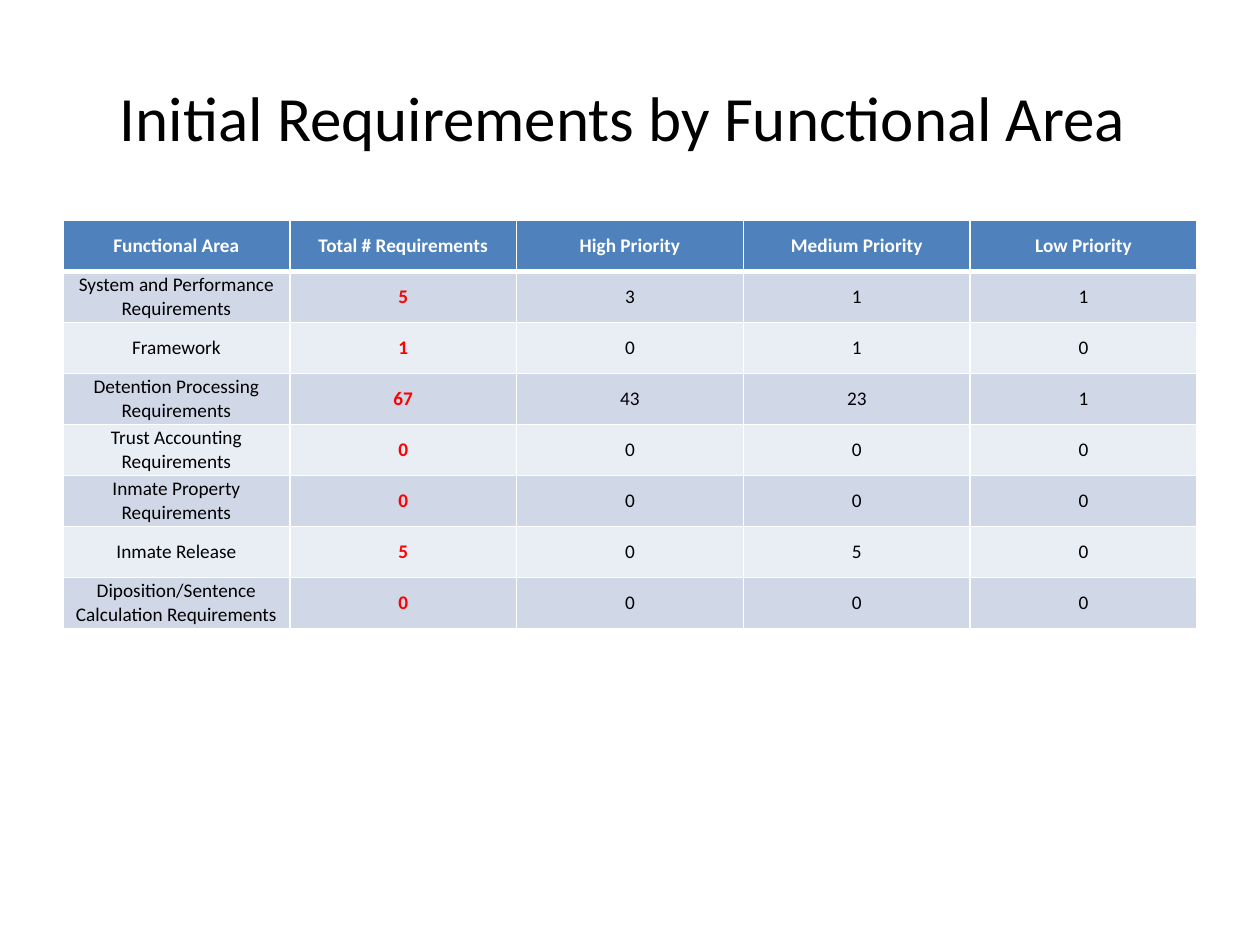
from dataclasses import dataclass

from lxml.etree import SubElement
from pptx import Presentation
from pptx.dml.color import RGBColor as Rgb
from pptx.enum.text import MSO_ANCHOR as Anchor, PP_ALIGN as Align
from pptx.oxml.ns import qn
from pptx.util import Pt


@dataclass(frozen=True)
class Theme:
    font: str = "Calibri"
    title_size: float = 36
    table_size: float = 11
    text: str = "000000"
    total: str = "FF0000"
    header_text: str = "FFFFFF"
    header_fill: str = "4F81BD"
    bands: tuple = ("D0D8E8", "E9EDF4")
    border: str = "FFFFFF"
    thin: float = 1
    thick: float = 3


@dataclass(frozen=True)
class FunctionalArea:
    name: str
    high: int
    medium: int
    low: int

    @property
    def total(self) -> int:
        return self.high + self.medium + self.low


THEME = Theme()
MARGIN, CONTENT_WIDTH = 36, 648
TITLE_TOP, TITLE_HEIGHT = 21.6, 90
TABLE_TOP, ROW_HEIGHT = 126, 29.16

HEADINGS = ("Functional Area", "Total # Requirements", "High Priority",
            "Medium Priority", "Low Priority")
AREAS = (
    FunctionalArea("System and Performance Requirements", 3, 1, 1),
    FunctionalArea("Framework", 0, 1, 0),
    FunctionalArea("Detention Processing Requirements", 43, 23, 1),
    FunctionalArea("Trust Accounting Requirements", 0, 0, 0),
    FunctionalArea("Inmate Property Requirements", 0, 0, 0),
    FunctionalArea("Inmate Release", 0, 5, 0),
    FunctionalArea("Diposition/Sentence Calculation Requirements", 0, 0, 0),
)


def write(frame, text: str, *, size: float, color: str = THEME.text,
          bold: bool = False) -> None:
    """Put one centred line of formatted text in a text frame."""
    paragraph = frame.paragraphs[0]
    paragraph.alignment = Align.CENTER
    run = paragraph.add_run()
    run.text = text
    run.font.name = THEME.font
    run.font.size = Pt(size)
    run.font.bold = bold
    run.font.color.rgb = Rgb.from_string(color)


def add_borders(cell, *, top: float, bottom: float) -> None:
    """Give a cell its four border lines, with widths in points."""
    properties = cell._tc.get_or_add_tcPr()
    widths = {"a:lnL": THEME.thin, "a:lnR": THEME.thin,
              "a:lnT": top, "a:lnB": bottom}
    for tag, width in widths.items():
        line = SubElement(properties, qn(tag), w=str(Pt(width)))
        fill = SubElement(line, qn("a:solidFill"))
        SubElement(fill, qn("a:srgbClr"), val=THEME.border)


def fill_cell(cell, text: str, *, fill: str, color: str, bold: bool,
              top: float = THEME.thin, bottom: float = THEME.thin) -> None:
    cell.margin_left = cell.margin_right = Pt(5)
    cell.margin_top = cell.margin_bottom = 0
    cell.vertical_anchor = Anchor.MIDDLE
    add_borders(cell, top=top, bottom=bottom)
    cell.fill.solid()
    cell.fill.fore_color.rgb = Rgb.from_string(fill)
    write(cell.text_frame, text, size=THEME.table_size, color=color, bold=bold)


def add_title(slide, text: str) -> None:
    title = slide.shapes.add_textbox(Pt(MARGIN), Pt(TITLE_TOP),
                                     Pt(CONTENT_WIDTH), Pt(TITLE_HEIGHT))
    title.text_frame.word_wrap = True
    title.text_frame.vertical_anchor = Anchor.MIDDLE
    write(title.text_frame, text, size=THEME.title_size)


def add_requirements(slide, areas: tuple[FunctionalArea, ...]) -> None:
    row_count = len(areas) + 1
    requirements = slide.shapes.add_table(
        row_count, len(HEADINGS), Pt(MARGIN), Pt(TABLE_TOP),
        Pt(CONTENT_WIDTH), Pt(ROW_HEIGHT * row_count)).table

    # Header row
    for column, heading in enumerate(HEADINGS):
        fill_cell(requirements.cell(0, column), heading, fill=THEME.header_fill,
                  color=THEME.header_text, bold=True, bottom=THEME.thick)

    # One banded row per functional area, with its total in red
    for row, area in enumerate(areas, start=1):
        values = (area.name, area.total, area.high, area.medium, area.low)
        for column, value in enumerate(values):
            is_total = column == 1
            fill_cell(requirements.cell(row, column), str(value),
                      fill=THEME.bands[(row - 1) % 2],
                      color=THEME.total if is_total else THEME.text,
                      bold=is_total,
                      top=THEME.thick if row == 1 else THEME.thin)


def main() -> None:
    deck = Presentation()
    deck.slide_width, deck.slide_height = Pt(720), Pt(540)
    slide = deck.slides.add_slide(deck.slide_layouts[6])
    add_title(slide, "Initial Requirements by Functional Area ")
    add_requirements(slide, AREAS)
    deck.save("out.pptx")


if __name__ == "__main__":
    main()
